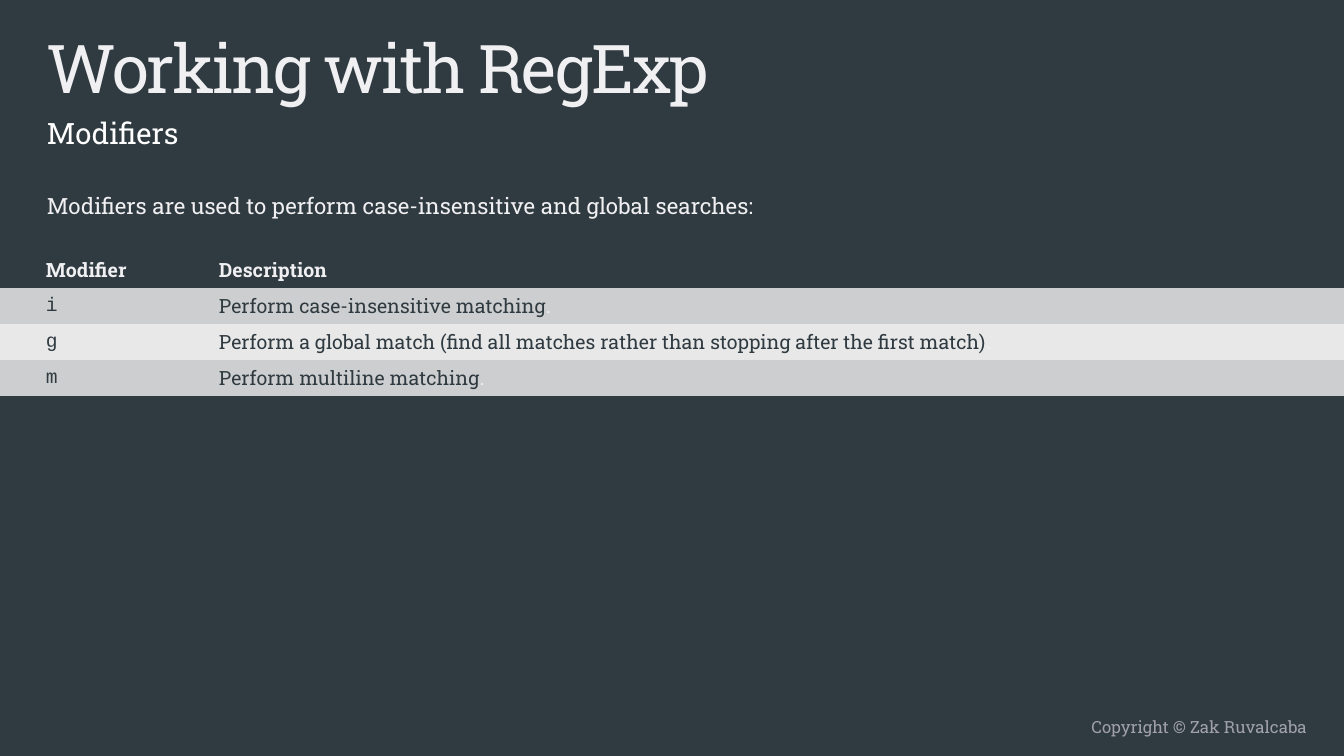
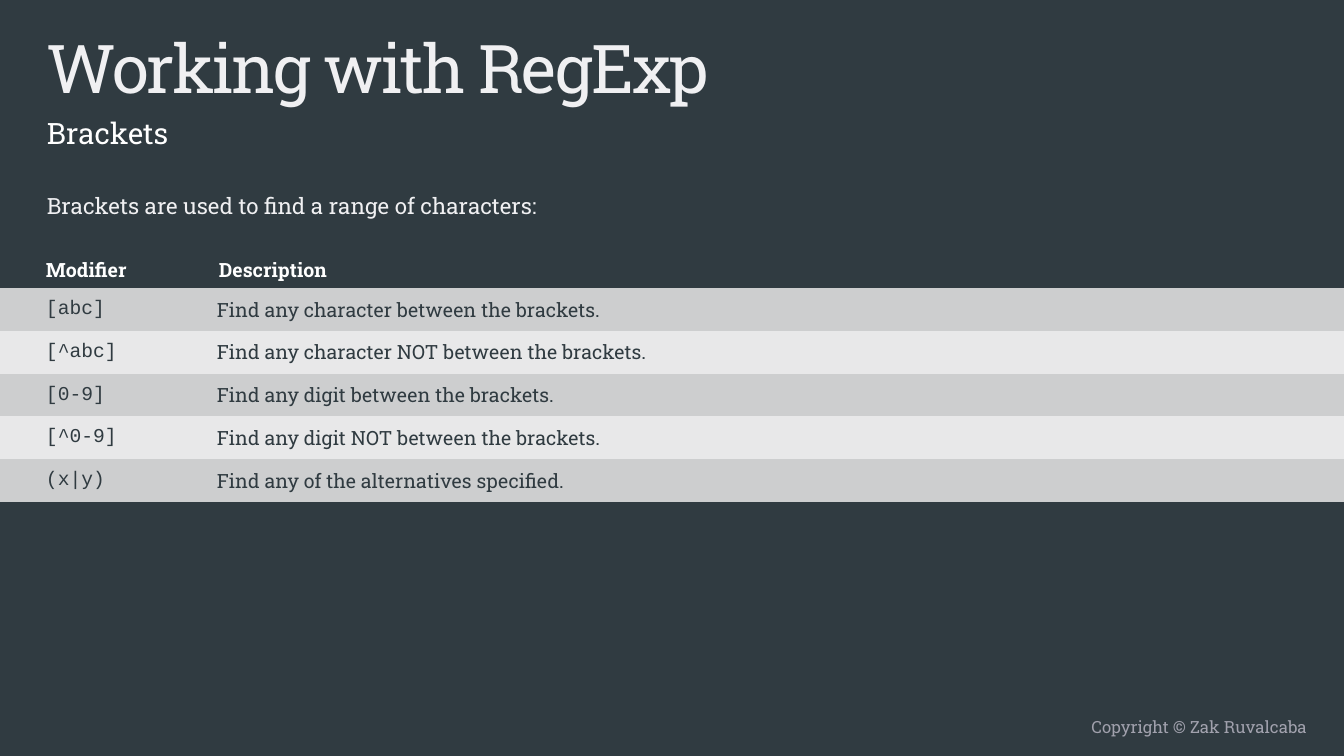
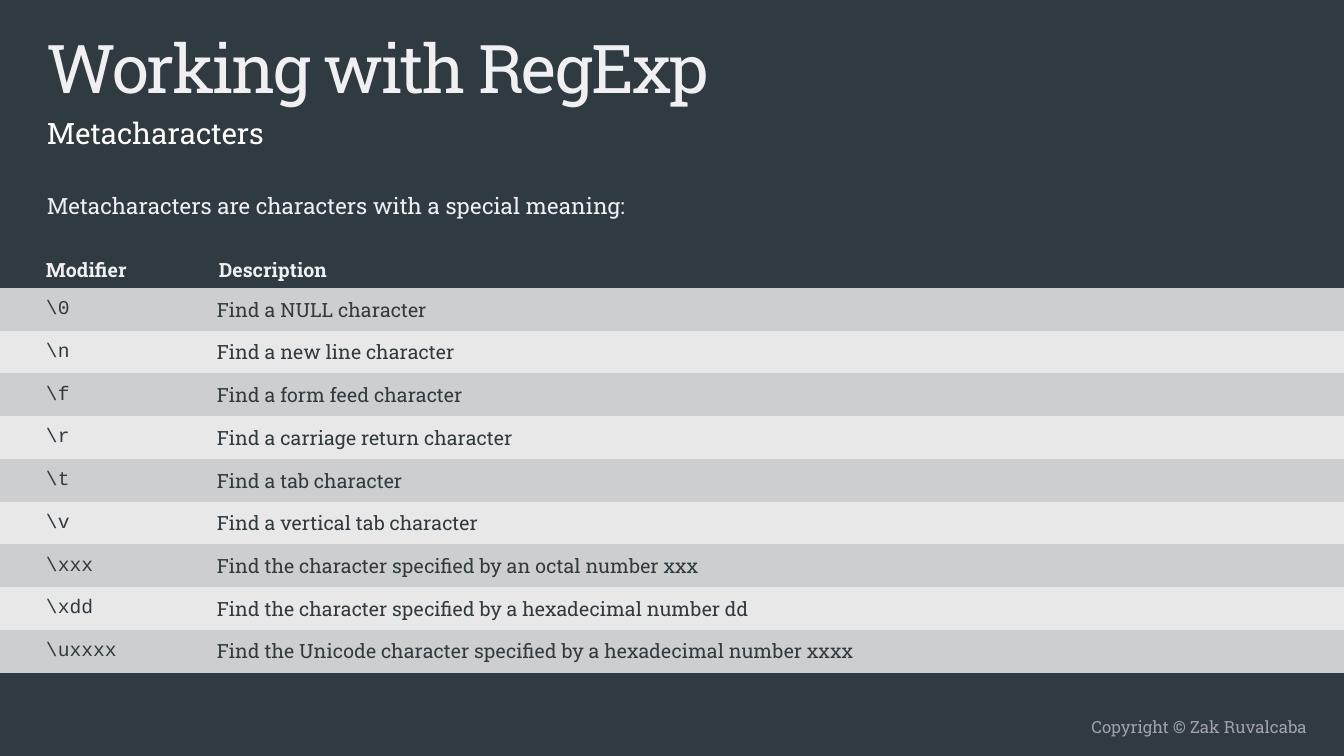
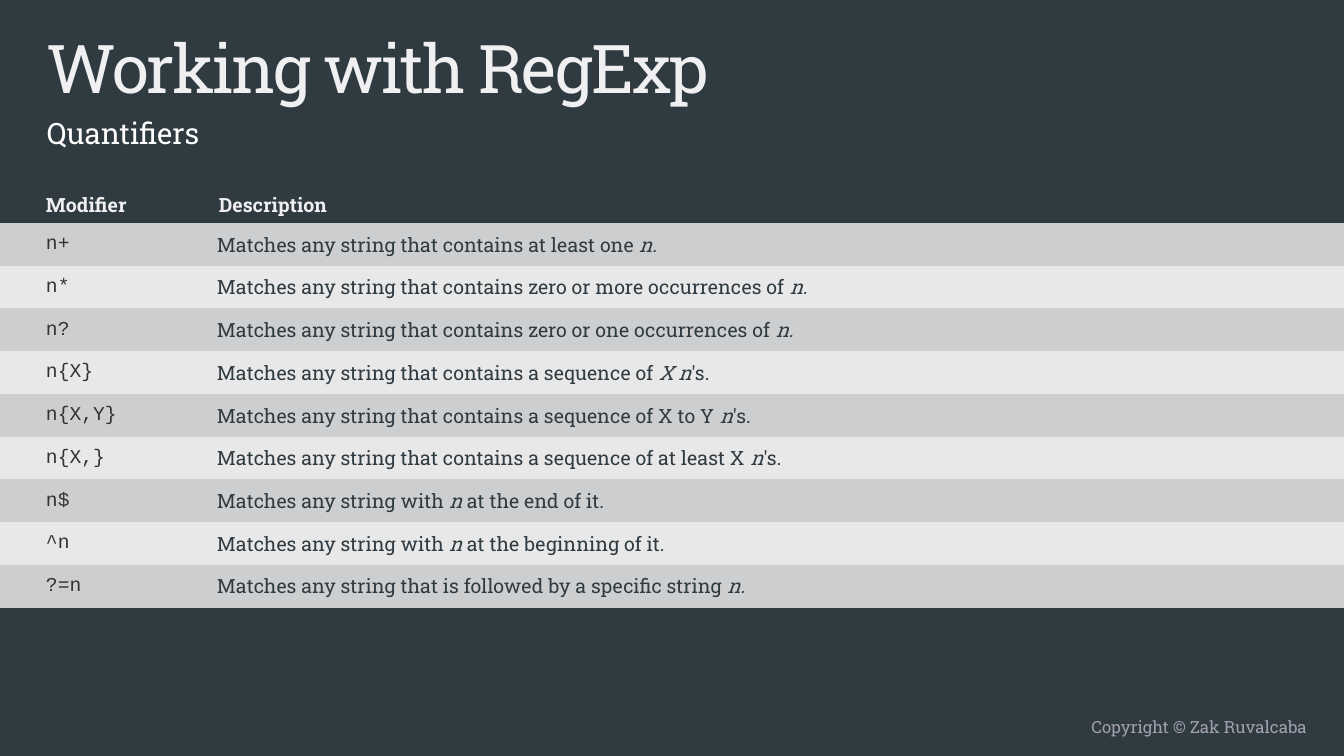
from dataclasses import dataclass

from pptx import Presentation
from pptx.dml.color import RGBColor
from pptx.enum.text import MSO_ANCHOR, PP_ALIGN
from pptx.oxml.ns import qn
from pptx.util import Emu, Pt

MIDDLE = MSO_ANCHOR.MIDDLE
LEFT, RIGHT = PP_ALIGN.LEFT, PP_ALIGN.RIGHT

# Page and scale
WIDE, HIGH = 1344, 756
UNIT = 12192000 / WIDE

# Shared colours and fonts
DARK, GREY = "303B41", "333333"
PALE, WHITE, MUTED = "F0F0F2", "FFFFFF", "A1A1AD"
BANDS = ("CDCECF", "E8E8E9")
SLAB, MONO = "Roboto Slab", "Courier New"
PLAIN = "{2D5ABB26-0587-4C30-8999-92F81FD0307C}"

# Table measures
COLS = (209, 1135)
HEAD = 36
EDGE = 46
TIGHT, LOOSE = (10, 5), (8, 8)


@dataclass(frozen=True)
class Style:
    size: int
    color: str
    font: str = SLAB
    bold: bool = False
    track: int = 0


@dataclass(frozen=True)
class Label:
    box: tuple[int, int, int, int]
    style: Style
    align: PP_ALIGN = LEFT
    lead: float = 1.0


@dataclass(frozen=True)
class Topic:
    name: str
    rows: tuple[tuple[str, str], ...]
    body: int
    intro: str = ""
    top: int = 252
    pad: tuple[int, int] = LOOSE
    head: str = PALE
    code: str = DARK
    tail: str = ""


TITLE = Label((37, 21, 1185, 80), Style(48, PALE, track=-150))
TOPIC = Label((37, 100, 1111, 39), Style(21, WHITE), lead=1.3)
INTRO = Label((37, 179, 1063, 47), Style(16, PALE), lead=1.3)
FOOT = Label((672, 712, 645, 31), Style(12, MUTED), align=RIGHT)

# Descriptions mark italic parts with underscores
TOPICS = (
    Topic(
        "Modifiers",
        (
            ("i", "Perform case-insensitive matching"),
            ("g", "Perform a global match (find all matches rather than "
                  "stopping after the first match)"),
            ("m", "Perform multiline matching"),
        ),
        body=108,
        intro="Modifiers are used to perform case-insensitive and global searches:",
        pad=TIGHT,
        tail=".",
    ),
    Topic(
        "Brackets",
        (
            ("[abc]", "Find any character between the brackets."),
            ("[^abc]", "Find any character NOT between the brackets."),
            ("[0-9]", "Find any digit between the brackets."),
            ("[^0-9]", "Find any digit NOT between the brackets."),
            ("(x|y)", "Find any of the alternatives specified."),
        ),
        body=214,
        intro="Brackets are used to find a range of characters:",
        head=WHITE,
    ),
    Topic(
        "Metacharacters",
        (
            (r"\0", "Find a NULL character"),
            (r"\n", "Find a new line character"),
            (r"\f", "Find a form feed character"),
            (r"\r", "Find a carriage return character"),
            (r"\t", "Find a tab character"),
            (r"\v", "Find a vertical tab character"),
            (r"\xxx", "Find the character specified by an octal number xxx"),
            (r"\xdd", "Find the character specified by a hexadecimal number dd"),
            (r"\uxxxx", "Find the Unicode character specified by a "
                        "hexadecimal number xxxx"),
        ),
        body=385,
        intro="Metacharacters are characters with a special meaning:",
    ),
    Topic(
        "Quantifiers",
        (
            ("n+", "Matches any string that contains at least one\u00a0_n._"),
            ("n*", "Matches any string that contains zero or more "
                   "occurrences of\u00a0_n._"),
            ("n?", "Matches any string that contains zero or one "
                   "occurrences of\u00a0_n._"),
            ("n{X}", "Matches any string that contains a sequence "
                     "of\u00a0_X\u00a0n_'s."),
            ("n{X,Y}", "Matches any string that contains a sequence of "
                       "X to Y\u00a0_n_'s."),
            ("n{X,}", "Matches any string that contains a sequence of "
                      "at least X\u00a0_n_'s."),
            ("n$", "Matches any string with\u00a0_n_\u00a0at the end of it."),
            ("^n", "Matches any string with\u00a0_n_\u00a0at the beginning of it."),
            ("?=n", "Matches any string that is followed by a specific "
                    "string\u00a0_n._"),
        ),
        body=385,
        top=187,
        code=GREY,
    ),
)


def px(value: float) -> Emu:
    return Emu(round(value * UNIT))


def paint(fill, color: str) -> None:
    fill.solid()
    fill.fore_color.rgb = RGBColor.from_string(color)


def assign(target, values: dict) -> None:
    for name, value in values.items():
        setattr(target, name, value)


def add_run(para, text: str, style: Style, slant: bool = False) -> None:
    run = para.add_run()
    run.text = text
    assign(run.font, {
        "name": style.font,
        "size": Pt(style.size),
        "bold": style.bold,
        "italic": slant,
    })
    paint(run.font.fill, style.color)
    if style.track:
        run._r.get_or_add_rPr().set("spc", str(style.track))


def add_label(slide, label: Label, text: str) -> None:
    frame = slide.shapes.add_textbox(*map(px, label.box)).text_frame
    frame.word_wrap = True
    para = frame.paragraphs[0]
    assign(para, {"alignment": label.align, "line_spacing": label.lead})
    add_run(para, text, label.style)


def fill_cell(cell, text: str, style: Style, back: str,
              left: int, pad: tuple[int, int]) -> None:
    side, edge = pad
    assign(cell, {
        "vertical_anchor": MIDDLE,
        "margin_left": px(left),
        "margin_right": px(side),
        "margin_top": px(edge),
        "margin_bottom": px(edge),
    })
    paint(cell.fill, back)
    for part, piece in enumerate(text.split("_")):
        if piece:
            add_run(cell.text_frame.paragraphs[0], piece, style, part % 2 == 1)


def add_grid(slide, topic: Topic) -> None:
    count = len(topic.rows)
    table = slide.shapes.add_table(
        count + 1, len(COLS), 0, px(topic.top), px(WIDE), px(HEAD + topic.body)
    ).table
    assign(table, {"first_row": False, "horz_banding": False})
    table._tbl.tblPr.find(qn("a:tableStyleId")).text = PLAIN
    for col, width in zip(table.columns, COLS):
        col.width = px(width)
    for row in table.rows:
        row.height = px(topic.body / count)
    table.rows[0].height = px(HEAD)

    # Header row
    head = Style(14, topic.head, bold=True)
    lefts = (EDGE, TIGHT[0])
    for col, text in enumerate(("Modifier", "Description")):
        fill_cell(table.cell(0, col), text, head, DARK, lefts[col], TIGHT)

    # Banded rows
    styles = (Style(14, topic.code, MONO), Style(14, DARK))
    lefts = (EDGE, topic.pad[0])
    for num, texts in enumerate(topic.rows, 1):
        back = BANDS[(num - 1) % 2]
        for col, text in enumerate(texts):
            fill_cell(table.cell(num, col), text, styles[col], back,
                      lefts[col], topic.pad)
        if topic.tail:
            para = table.cell(num, 1).text_frame.paragraphs[0]
            add_run(para, topic.tail, Style(14, PALE))


def add_page(deck, layout, topic: Topic) -> None:
    slide = deck.slides.add_slide(layout)
    add_label(slide, FOOT, "Copyright © Zak Ruvalcaba")
    add_label(slide, TITLE, "Working with RegExp")
    if topic.intro:
        add_label(slide, INTRO, topic.intro)
    add_label(slide, TOPIC, topic.name)
    add_grid(slide, topic)


# Build the deck
deck = Presentation()
assign(deck, {"slide_width": px(WIDE), "slide_height": px(HIGH)})
blank = deck.slide_layouts[6]
paint(blank.background.fill, DARK)
for topic in TOPICS:
    add_page(deck, blank, topic)
deck.save("out.pptx")
